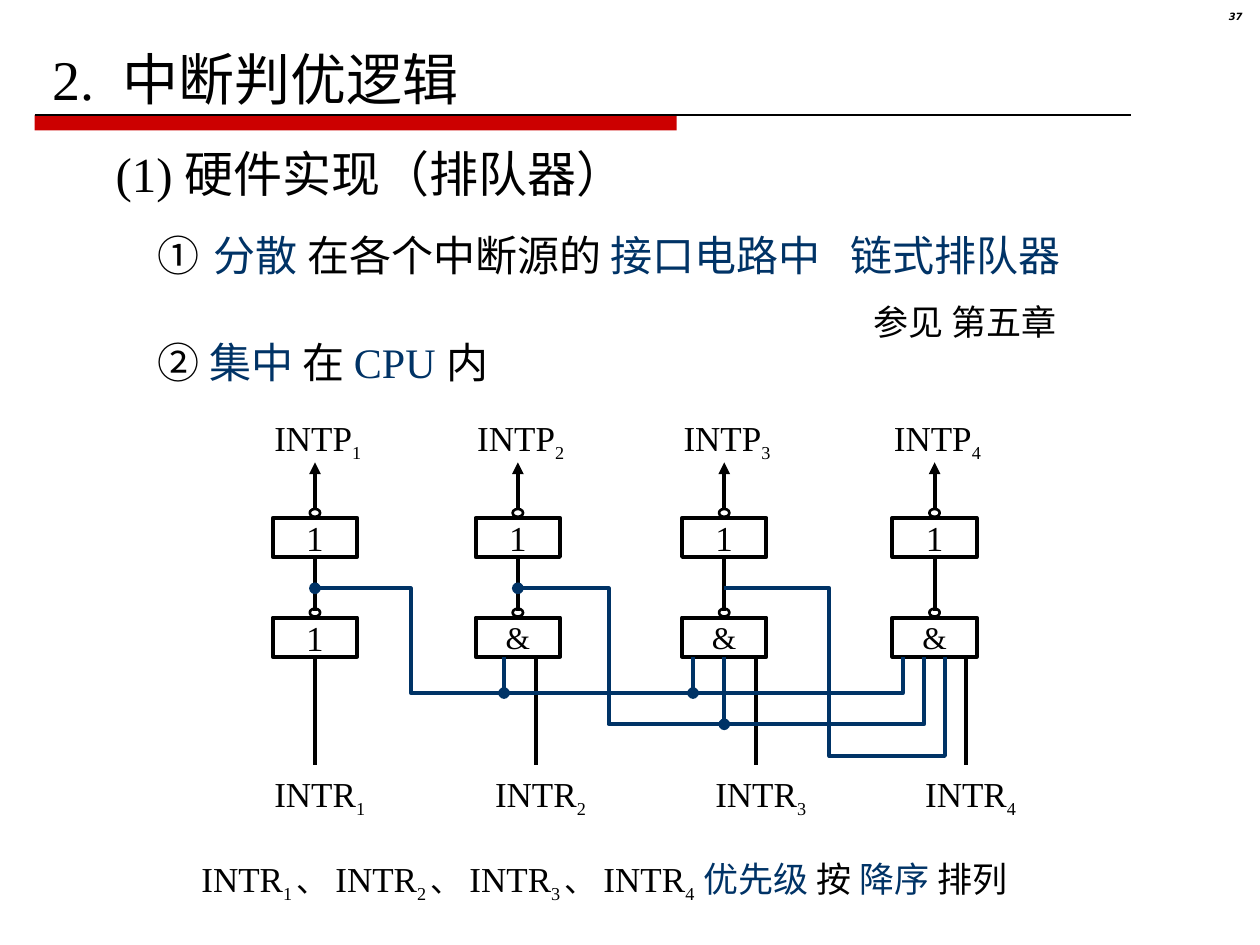
from pptx import Presentation
from pptx.dml.color import RGBColor
from pptx.enum.shapes import MSO_CONNECTOR, MSO_SHAPE
from pptx.enum.text import MSO_ANCHOR, MSO_AUTO_SIZE, PP_ALIGN
from pptx.oxml.ns import qn
from pptx.util import Cm, Pt
from lxml import etree

BLACK = RGBColor(0x00, 0x00, 0x00)
NAVY = RGBColor(0x00, 0x33, 0x66)
RED = RGBColor(0xCC, 0x00, 0x00)
SERIF = "Times New Roman"
STRAIGHT = MSO_CONNECTOR.STRAIGHT
RECT, OVAL = MSO_SHAPE.RECTANGLE, MSO_SHAPE.OVAL
TOP, MIDDLE = MSO_ANCHOR.TOP, MSO_ANCHOR.MIDDLE
LEFT, CENTER, RIGHT = PP_ALIGN.LEFT, PP_ALIGN.CENTER, PP_ALIGN.RIGHT
NO_AUTOFIT = MSO_AUTO_SIZE.NONE

# Circuit geometry in cm: (gate centre, request line, lower gate sign, its size)
CHANNELS = [(6.35, 6.35, "1", 20), (10.44, 10.8, "&", 18),
            (14.6, 15.24, "&", 18), (18.84, 19.47, "&", 18)]
GATE_W, GATE_H = 1.7, 0.79
BUBBLE_W, BUBBLE_H = 0.21, 0.16
UPPER_TOP, LOWER_TOP = 10.44, 12.45
UPPER_END, LOWER_END = UPPER_TOP + GATE_H, LOWER_TOP + GATE_H
BRANCH_Y = 11.86
BUS_1, BUS_2, BUS_3 = 13.97, 14.6, 15.24


def add_run(paragraph, text, size, color=BLACK, subscript=False, font=SERIF):
    run = paragraph.add_run()
    run.text = text
    run.font.name = font
    run.font.size = Pt(size)
    run.font.bold = False
    run.font.color.rgb = color
    if subscript:
        run._r.get_or_add_rPr().set("baseline", "-25000")
    return run


def set_frame(shape, side=0.0, edge=0.13, anchor=TOP, align=LEFT):
    frame = shape.text_frame
    frame.auto_size = NO_AUTOFIT
    frame.word_wrap = True
    frame.margin_left = frame.margin_right = Cm(side)
    frame.margin_top = frame.margin_bottom = Cm(edge)
    frame.vertical_anchor = anchor
    paragraph = frame.paragraphs[0]
    paragraph.alignment = align
    return paragraph


def fill_placeholder(placeholder, left, top, width, runs, tab=None):
    placeholder.left, placeholder.top = Cm(left), Cm(top)
    placeholder.width, placeholder.height = Cm(width), Cm(1.48)
    paragraph = set_frame(placeholder, anchor=MIDDLE)
    props = paragraph._p.get_or_add_pPr()
    props.set("marL", "0")
    props.set("indent", "0")
    paragraph.space_before = Pt(0)
    etree.SubElement(props, qn("a:buNone"))
    if tab:
        stops = etree.SubElement(props, qn("a:tabLst"))
        etree.SubElement(stops, qn("a:tab"), pos=str(Cm(tab)), algn="l")
    for run in runs:
        add_run(paragraph, *run)


def add_text(slide, left, top, width, height, runs, align=LEFT):
    box = slide.shapes.add_textbox(Cm(left), Cm(top), Cm(width), Cm(height))
    paragraph = set_frame(box, side=0.25, align=align)
    for run in runs:
        add_run(paragraph, *run)
    return paragraph


def add_signal(slide, left, top, name, number):
    add_text(slide, left, top, 3.4, 1.19,
             [(name, 20), (str(number), 18, BLACK, True)])


def add_outline(slide, kind, left, top, width, height, weight):
    shape = slide.shapes.add_shape(kind, Cm(left), Cm(top), Cm(width), Cm(height))
    shape.shadow.inherit = False
    shape.fill.background()
    shape.line.color.rgb = BLACK
    shape.line.width = Pt(weight)
    return shape


def add_gate(slide, center, top, sign, size):
    add_outline(slide, OVAL, center - BUBBLE_W / 2, top - BUBBLE_H - 0.02,
                BUBBLE_W, BUBBLE_H, 1.5)
    gate = add_outline(slide, RECT, center - GATE_W / 2, top,
                       GATE_W, GATE_H, 2.25)
    paragraph = set_frame(gate, edge=0, anchor=MIDDLE, align=CENTER)
    add_run(paragraph, sign, size)


def add_end(shape, end, kind):
    line = shape.line._get_or_add_ln()
    etree.SubElement(line, qn("a:" + end), type=kind)


def add_wire(slide, x1, y1, x2, y2, color=BLACK, weight=2.25, tail=None):
    wire = slide.shapes.add_connector(STRAIGHT, Cm(x1), Cm(y1), Cm(x2), Cm(y2))
    wire.line.color.rgb = color
    wire.line.width = Pt(weight)
    etree.SubElement(wire._element.spPr, qn("a:effectLst"))
    if tail:
        add_end(wire, "tailEnd", tail)


def add_bus(slide, start, turn, level, end, dotted):
    corners = [(turn, BRANCH_Y), (turn, level), (end, level), (end, LOWER_END)]
    builder = slide.shapes.build_freeform(Cm(start), Cm(BRANCH_Y))
    builder.add_line_segments([(Cm(x), Cm(y)) for x, y in corners], close=False)
    bus = builder.convert_to_shape()
    bus.shadow.inherit = False
    bus.fill.background()
    bus.line.color.rgb = NAVY
    bus.line.width = Pt(2.25)
    if dotted:
        add_end(bus, "headEnd", "oval")


def add_header(slide):
    bar = slide.shapes.add_shape(RECT, Cm(0.7), Cm(2.32), Cm(12.94), Cm(0.31))
    bar.shadow.inherit = False
    bar.fill.solid()
    bar.fill.fore_color.rgb = RED
    bar.line.fill.background()
    add_wire(slide, 0.7, 2.32, 22.8, 2.32, weight=0.75)
    number = add_text(slide, 23.8, 0.13, 1.5, 0.58, [], RIGHT)
    number.line_spacing = 0.8
    run = add_run(number, "37", 5.7, font="DejaVu Sans")
    run.font.bold = run.font.italic = True


def add_headings(slide):
    title, heading, distributed, central, spare = slide.placeholders
    spare._element.getparent().remove(spare._element)
    fill_placeholder(title, 1.06, 0.84, 10.8, [("2.  中断判优逻辑", 32)])
    fill_placeholder(heading, 2.33, 2.75, 14.6, [("(1) 硬件实现（排队器）", 28)])
    fill_placeholder(distributed, 3.18, 4.23, 20.95, [
        ("①", 24), (" ", 36), ("分散 ", 24, NAVY), ("在各个中断源的 ", 24),
        ("接口电路中\t链式排队器", 24, NAVY)], tab=14.1)
    fill_placeholder(central, 3.18, 6.56, 14.6, [
        ("② ", 24), ("集中 ", 24, NAVY), ("在 ", 24),
        ("CPU ", 24, NAVY), ("内", 24)])
    add_text(slide, 17.36, 5.93, 6.55, 1.11, [("参见 第五章", 20)])


def add_circuit(slide):
    # Four channels, each with two gates and its signals
    for number, (center, request, sign, size) in enumerate(CHANNELS, 1):
        add_wire(slide, center, 10.28, center, 9.32, tail="triangle")
        add_wire(slide, center, UPPER_END, center, 12.31)
        add_wire(slide, request, LOWER_END, request, 15.42)
        add_gate(slide, center, UPPER_TOP, "1", 20)
        add_gate(slide, center, LOWER_TOP, sign, size)
        add_signal(slide, center - 1.07, 8.26, "INTP", number)
        add_signal(slide, request - 1.07, 15.45, "INTR", number)
    # Blocking lines towards the lower priorities
    add_bus(slide, 6.35, 8.28, BUS_1, 18.2, True)
    add_bus(slide, 10.44, 12.27, BUS_2, 18.63, True)
    add_bus(slide, 14.6, 16.72, BUS_3, 19.05, False)
    for x, level in [(10.16, BUS_1), (13.97, BUS_1), (14.6, BUS_2)]:
        add_wire(slide, x, LOWER_END, x, level, NAVY, tail="oval")


def add_priority_note(slide):
    runs = []
    for number in range(1, 5):
        runs += [("INTR", 20),
                 (f"{number} " if number < 4 else "4  ", 18, BLACK, True)]
        if number < 4:
            runs.append(("、 ", 18))
    runs += [("优先级 ", 20, NAVY), ("按 ", 20), ("降序 ", 20, NAVY), ("排列", 20)]
    add_text(slide, 3.81, 17.15, 19.69, 1.3, runs)


def main():
    prs = Presentation()
    prs.slide_width, prs.slide_height = Cm(25.4), Cm(19.05)
    slide = prs.slides.add_slide(prs.slide_layouts[4])
    add_header(slide)
    add_headings(slide)
    add_circuit(slide)
    add_priority_note(slide)
    prs.save("out.pptx")


if __name__ == "__main__":
    main()
